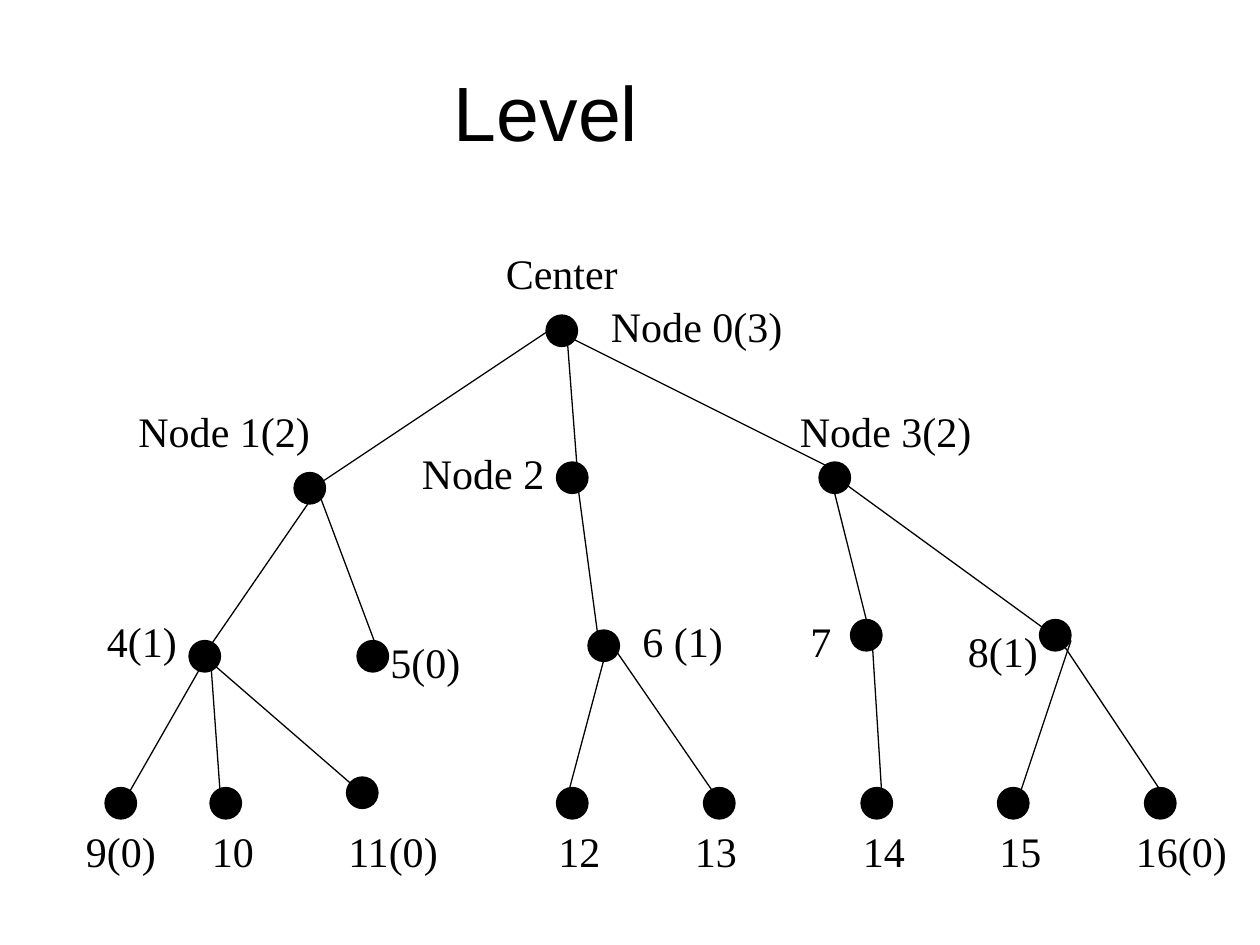
from lxml import etree
from pptx import Presentation
from pptx.dml.color import RGBColor
from pptx.enum.shapes import MSO_CONNECTOR, MSO_SHAPE
from pptx.enum.text import MSO_ANCHOR, MSO_AUTO_SIZE, PP_ALIGN
from pptx.oxml.ns import qn
from pptx.util import Emu, Pt

STRAIGHT = MSO_CONNECTOR.STRAIGHT
OVAL = MSO_SHAPE.OVAL
MIDDLE = MSO_ANCHOR.MIDDLE
TOP = MSO_ANCHOR.TOP
GROW = MSO_AUTO_SIZE.SHAPE_TO_FIT_TEXT
FIXED = MSO_AUTO_SIZE.NONE
CENTER = PP_ALIGN.CENTER
LEFT = PP_ALIGN.LEFT

EMU_PER_PX = 7620
BLACK = "000000"
LINE_WIDTH = Pt(0.75)
NODE_SIZE = 30
LABEL_HEIGHT = 60

NODES = [
    (520, 300),
    (280, 450), (530, 440), (780, 440),
    (180, 610), (340, 610), (560, 600), (810, 590), (990, 590),
    (100, 750), (200, 750), (330, 740), (530, 750),
    (670, 750), (820, 750), (950, 750), (1090, 750),
]

EDGES = [
    (530, 310, 290, 470), (540, 320, 550, 450), (540, 320, 800, 450),
    (300, 470, 190, 630), (360, 620, 300, 460), (550, 460, 570, 610),
    (790, 450, 830, 610), (790, 450, 1010, 610),
    (200, 620, 120, 760), (200, 620, 210, 760), (200, 630, 350, 760),
    (580, 610, 540, 760), (580, 610, 690, 770), (830, 600, 840, 760),
    (1020, 610, 970, 760), (1010, 610, 1110, 760),
]

LABELS = [
    ("Center", 470, 230, 132),
    ("Node 0(3)", 570, 280, 189),
    ("Node 1(2)", 120, 380, 189),
    ("Node 2", 390, 420, 142),
    ("Node 3(2)", 750, 380, 189),
    ("4(1)", 90, 580, 92),
    ("5(0)", 360, 600, 92),
    ("6 (1)", 600, 580, 102),
    ("7", 760, 580, 45),
    ("8(1)", 910, 590, 92),
    ("9(0)", 70, 780, 92),
    ("10", 190, 780, 65),
    ("11(0)", 320, 780, 120),
    ("12", 520, 780, 65),
    ("13", 650, 780, 65),
    ("14", 810, 780, 65),
    ("15", 940, 780, 65),
    ("16(0)", 1070, 780, 112),
]
WRAPPED_LABELS = {"11(0)", "12"}

TITLE_FORMAT = {"name": "Arial", "size": Pt(44)}
LABEL_FORMAT = {"name": "Times New Roman", "size": Pt(24)}
TITLE_FRAME = {"word_wrap": True, "auto_size": FIXED, "vertical_anchor": MIDDLE}
LABEL_FRAME = {"auto_size": GROW, "vertical_anchor": TOP}


def px(length):
    return Emu(length * EMU_PER_PX)


def color(value):
    return RGBColor.from_string(value)


def set_attributes(target, values):
    for name, value in values.items():
        setattr(target, name, value)


def add_text(slide, text, box, frame_format, font_format, alignment):
    text_box = slide.shapes.add_textbox(*map(px, box))
    frame = text_box.text_frame
    set_attributes(frame, frame_format)
    paragraph = frame.paragraphs[0]
    paragraph.alignment = alignment
    run = paragraph.add_run()
    run.text = text
    set_attributes(run.font, font_format)
    run.font.color.rgb = color(BLACK)


def add_node(slide, left, top):
    node = slide.shapes.add_shape(OVAL, *map(px, (left, top, NODE_SIZE, NODE_SIZE)))
    node.shadow.inherit = False
    node.fill.solid()
    node.fill.fore_color.rgb = color(BLACK)
    node.line.color.rgb = color(BLACK)
    node.line.width = LINE_WIDTH


def add_edge(slide, points):
    edge = slide.shapes.add_connector(STRAIGHT, *map(px, points))
    edge.line.color.rgb = color(BLACK)
    edge.line.width = LINE_WIDTH
    etree.SubElement(edge._element.spPr, qn("a:effectLst"))


def main():
    presentation = Presentation()
    presentation.slide_width = px(1200)
    presentation.slide_height = px(900)
    slide = presentation.slides.add_slide(presentation.slide_layouts[6])
    add_text(slide, "Level", (90, 30, 860, 150), TITLE_FRAME, TITLE_FORMAT, CENTER)
    for left, top in NODES:
        add_node(slide, left, top)
    for points in EDGES:
        add_edge(slide, points)
    for text, left, top, width in LABELS:
        frame_format = {**LABEL_FRAME, "word_wrap": text in WRAPPED_LABELS}
        box = (left, top, width, LABEL_HEIGHT)
        add_text(slide, text, box, frame_format, LABEL_FORMAT, LEFT)
    presentation.save("out.pptx")


if __name__ == "__main__":
    main()
